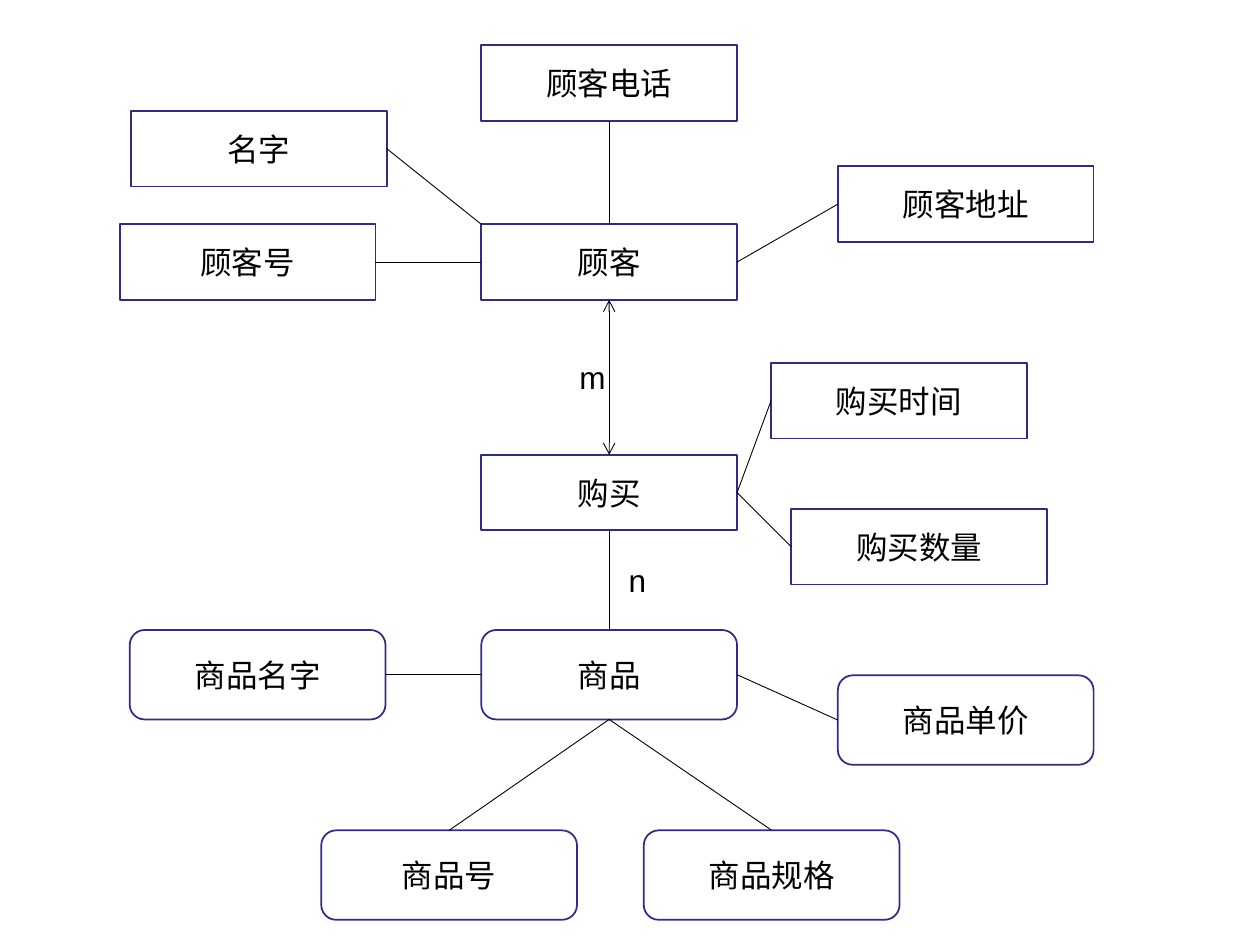
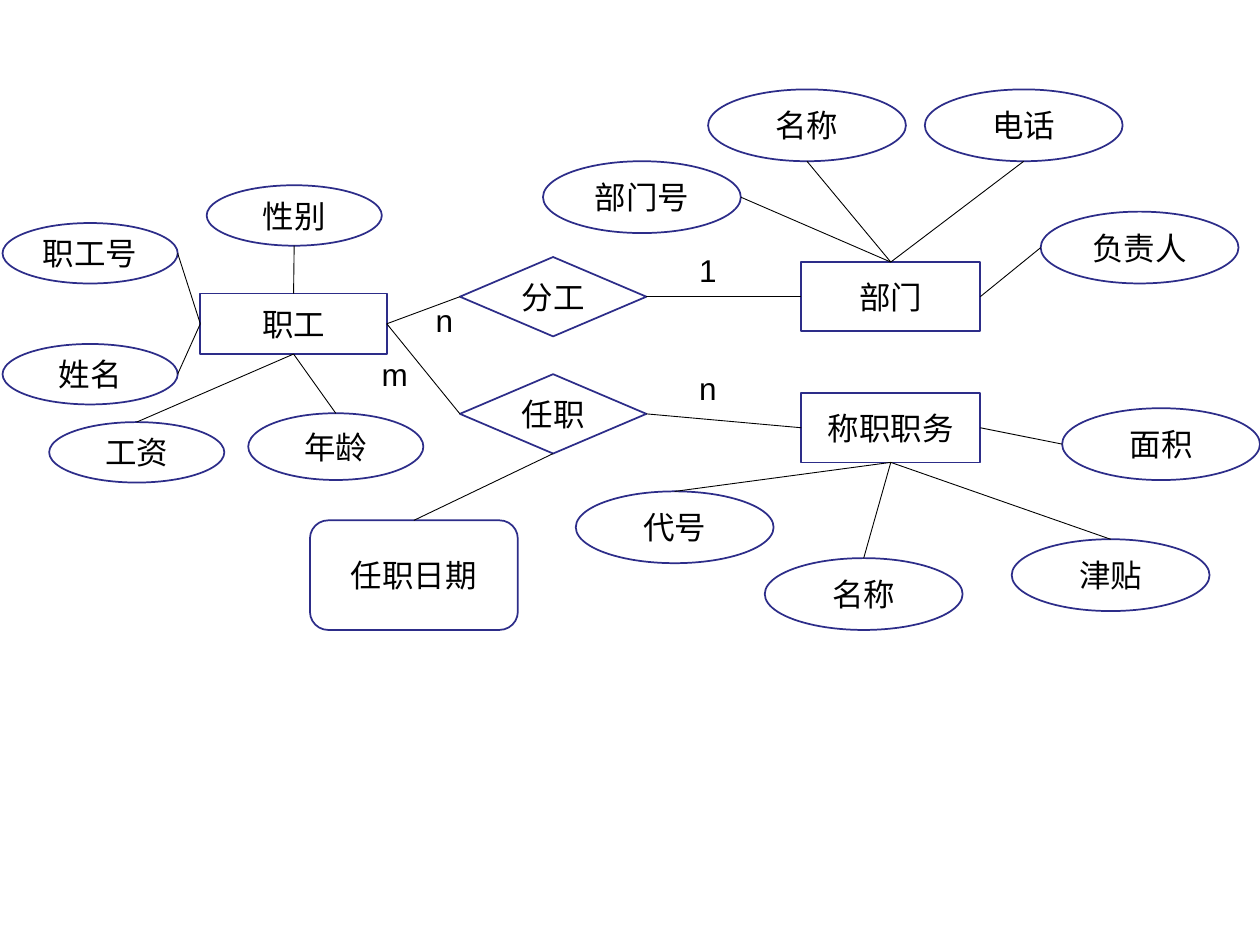
from lxml import etree
from pptx import Presentation
from pptx.dml.color import RGBColor
from pptx.enum import shapes, text
from pptx.oxml import ns
from pptx.util import Inches, Pt

NAVY = RGBColor(0x2D, 0x2D, 0x89)
BLACK = RGBColor(0, 0, 0)
WHITE = RGBColor(0xFF, 0xFF, 0xFF)
FONT = "Arial"
TEXT_SIZE = Pt(18)

# Where a line meets a node, as fractions of its width and height
TOP, LEFT, BOTTOM, RIGHT = (0.5, 0), (0, 0.5), (0.5, 1), (1, 0.5)
TOP_LEFT = (0, 0)

# Node styles: preset shape, width, height
PRESET = shapes.MSO_SHAPE
BOX = (PRESET.RECTANGLE, 2.03, 0.6)
ROUNDED = (PRESET.ROUNDED_RECTANGLE, 2.03, 0.71)
STAFF = (PRESET.RECTANGLE, 1.48, 0.48)
STAFF_OVAL = (PRESET.OVAL, 1.39, 0.48)
AGE_OVAL = (PRESET.OVAL, 1.39, 0.53)
DIAMOND = (PRESET.FLOWCHART_DECISION, 1.48, 0.63)
DATE = (PRESET.ROUNDED_RECTANGLE, 1.65, 0.87)
OFFICE = (PRESET.RECTANGLE, 1.42, 0.55)
OFFICE_OVAL = (PRESET.OVAL, 1.57, 0.57)

# Entity: label, style, left, top, attributes
# Attribute: label, style, left, top, side of the entity, side of the attribute
# Relation: from entity, side, to entity, side, arrowheads at both ends
# Cardinality: label, left, top, width
purchase_diagram = {
    "entities": [
        ("顾客", BOX, 3.82, 1.78, [
            ("名字", BOX, 1.04, 0.88, TOP_LEFT, RIGHT),
            ("顾客电话", BOX, 3.82, 0.36, TOP, BOTTOM),
            ("顾客地址", BOX, 6.65, 1.32, RIGHT, LEFT),
            ("顾客号", BOX, 0.95, 1.78, LEFT, RIGHT),
        ]),
        ("购买", BOX, 3.82, 3.61, [
            ("购买时间", BOX, 6.12, 2.88, RIGHT, LEFT),
            ("购买数量", BOX, 6.28, 4.04, RIGHT, LEFT),
        ]),
        ("商品", ROUNDED, 3.82, 5, [
            ("商品号", ROUNDED, 2.55, 6.59, BOTTOM, TOP),
            ("商品规格", ROUNDED, 5.11, 6.59, BOTTOM, TOP),
            ("商品单价", ROUNDED, 6.65, 5.36, RIGHT, LEFT),
            ("商品名字", ROUNDED, 1.03, 5, LEFT, RIGHT),
        ]),
    ],
    "relations": [
        ("顾客", BOTTOM, "购买", TOP, True),
        ("购买", BOTTOM, "商品", TOP, False),
    ],
    "cardinalities": [("m", 4.5, 2.79, 0.22), ("n", 4.89, 4.4, 0.22)],
}
staff_diagram = {
    "entities": [
        ("职工", STAFF, 1.59, 2.33, [
            ("职工号", STAFF_OVAL, 0.02, 1.77, LEFT, RIGHT),
            ("性别", STAFF_OVAL, 1.64, 1.47, TOP, BOTTOM),
            ("工资", STAFF_OVAL, 0.39, 3.35, BOTTOM, TOP),
            ("姓名", STAFF_OVAL, 0.02, 2.73, LEFT, RIGHT),
            ("年龄", AGE_OVAL, 1.97, 3.28, BOTTOM, TOP),
        ]),
        ("分工", DIAMOND, 3.65, 2.04, []),
        ("任职", DIAMOND, 3.65, 2.97, [
            ("任职日期", DATE, 2.46, 4.13, BOTTOM, TOP),
        ]),
        ("部门", OFFICE, 6.36, 2.08, [
            ("部门号", OFFICE_OVAL, 4.31, 1.28, TOP, RIGHT),
            ("负责人", OFFICE_OVAL, 8.26, 1.68, RIGHT, LEFT),
            ("电话", OFFICE_OVAL, 7.34, 0.71, TOP, BOTTOM),
            ("名称", OFFICE_OVAL, 5.62, 0.71, TOP, BOTTOM),
        ]),
        ("称职职务", OFFICE, 6.36, 3.12, [
            ("代号", OFFICE_OVAL, 4.57, 3.9, BOTTOM, TOP),
            ("面积", OFFICE_OVAL, 8.43, 3.24, RIGHT, LEFT),
            ("津贴", OFFICE_OVAL, 8.03, 4.28, BOTTOM, TOP),
            ("名称", OFFICE_OVAL, 6.07, 4.43, BOTTOM, TOP),
        ]),
    ],
    "relations": [
        ("职工", RIGHT, "分工", LEFT, False),
        ("职工", RIGHT, "任职", LEFT, False),
        ("分工", RIGHT, "部门", LEFT, False),
        ("任职", RIGHT, "称职职务", LEFT, False),
    ],
    "cardinalities": [
        ("m", 2.93, 2.77, 0.36),
        ("1", 5.45, 1.94, 0.43),
        ("n", 3.36, 2.34, 0.37),
        ("n", 5.45, 2.88, 0.43),
    ],
}


def add_node(slide, label, style, left, top):
    """Draw one outlined node with its centred label and return it."""
    preset, width, height = style
    shape = slide.shapes.add_shape(
        preset, Inches(left), Inches(top), Inches(width), Inches(height))
    shape.shadow.inherit = False
    shape.fill.solid()
    shape.fill.fore_color.rgb = WHITE
    shape.line.color.rgb = NAVY
    shape.line.width = Pt(1)
    frame = shape.text_frame
    frame.text = label
    frame.word_wrap = False
    frame.vertical_anchor = text.MSO_ANCHOR.MIDDLE
    paragraph = frame.paragraphs[0]
    paragraph.alignment = text.PP_ALIGN.CENTER
    font = paragraph.runs[0].font
    font.name, font.size, font.color.rgb = FONT, TEXT_SIZE, BLACK
    return shape


def add_link(slide, start, start_side, end, end_side, arrows=False):
    """Draw a thin straight line between the given sides of two nodes."""
    points = []
    for node, (across, down) in ((start, start_side), (end, end_side)):
        points += [int(node.left + node.width * across),
                   int(node.top + node.height * down)]
    connector = slide.shapes.add_connector(
        shapes.MSO_CONNECTOR.STRAIGHT, *points)
    connector.line.color.rgb = BLACK
    connector.line.width = Pt(0.5)
    properties = connector._element.spPr
    etree.SubElement(properties, ns.qn("a:effectLst"))
    if arrows:
        outline = properties.find(ns.qn("a:ln"))
        for tag in ("a:headEnd", "a:tailEnd"):
            etree.SubElement(outline, ns.qn(tag), type="arrow")


presentation = Presentation()
presentation.slide_width = Inches(10)
presentation.slide_height = Inches(7.5)

for diagram in (purchase_diagram, staff_diagram):
    slide = presentation.slides.add_slide(presentation.slide_layouts[6])

    entities = {}
    for label, style, left, top, attributes in diagram["entities"]:
        entity = add_node(slide, label, style, left, top)
        entities[label] = entity
        for name, look, x, y, entity_side, attribute_side in attributes:
            attribute = add_node(slide, name, look, x, y)
            add_link(slide, entity, entity_side, attribute, attribute_side)

    for start, start_side, end, end_side, arrows in diagram["relations"]:
        add_link(slide, entities[start], start_side,
                 entities[end], end_side, arrows)

    for label, left, top, width in diagram["cardinalities"]:
        box = slide.shapes.add_textbox(
            Inches(left), Inches(top), Inches(width), Inches(0.4))
        box.text_frame.text = label
        box.text_frame.word_wrap = True
        box.text_frame.auto_size = text.MSO_AUTO_SIZE.SHAPE_TO_FIT_TEXT
        font = box.text_frame.paragraphs[0].runs[0].font
        font.name, font.size, font.color.rgb = FONT, TEXT_SIZE, BLACK

presentation.save("out.pptx")
